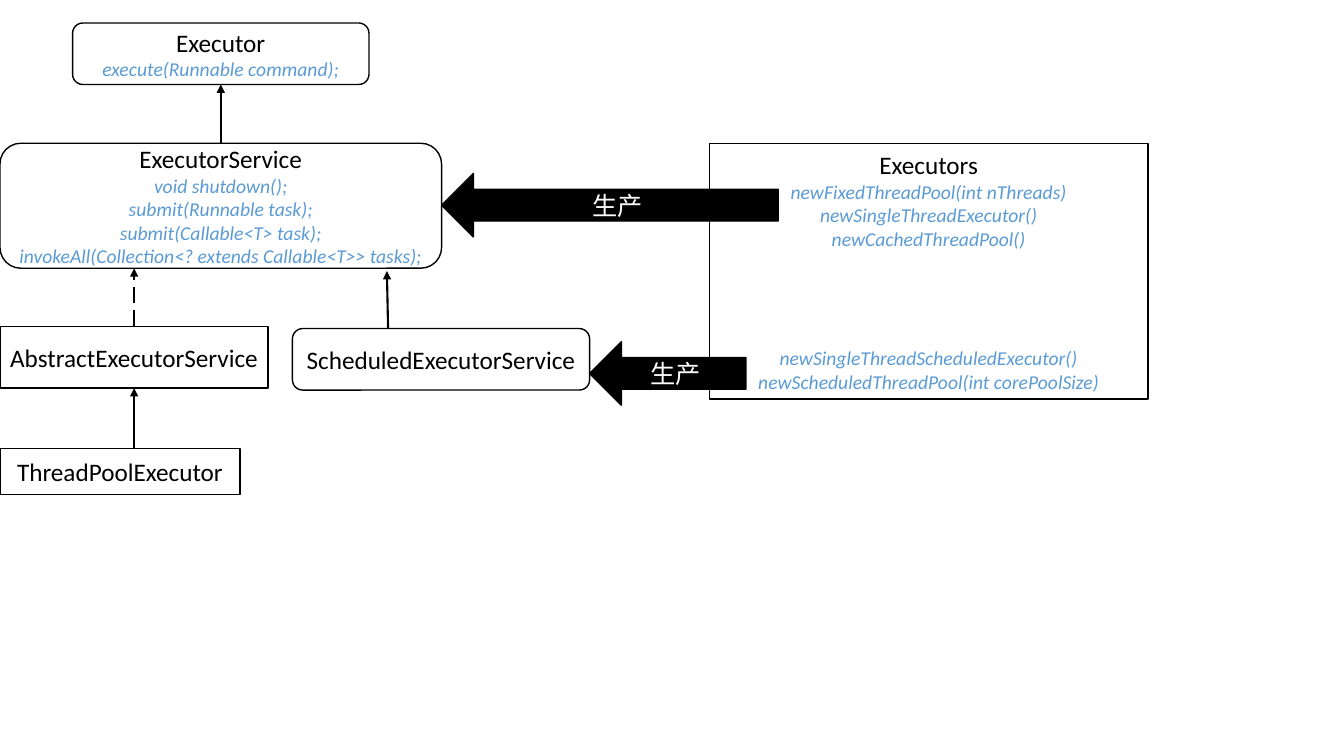
from dataclasses import dataclass

from lxml import etree
from pptx import Presentation
from pptx.dml.color import RGBColor
from pptx.enum.dml import MSO_LINE
from pptx.enum.shapes import MSO_CONNECTOR, MSO_SHAPE
from pptx.enum.text import MSO_ANCHOR, PP_ALIGN
from pptx.oxml.ns import qn
from pptx.util import Cm, Pt

INTERFACE = MSO_SHAPE.ROUNDED_RECTANGLE
CLASS = MSO_SHAPE.RECTANGLE
PRODUCES = MSO_SHAPE.LEFT_ARROW
STRAIGHT = MSO_CONNECTOR.STRAIGHT
LONG_DASH = MSO_LINE.LONG_DASH
MIDDLE = MSO_ANCHOR.MIDDLE
CENTER = PP_ALIGN.CENTER
TOP, BOTTOM = 0, 2


@dataclass(frozen=True)
class Theme:
    font: str = "Calibri"
    black: RGBColor = RGBColor(0, 0, 0)
    white: RGBColor = RGBColor(255, 255, 255)
    blue: RGBColor = RGBColor(0x5B, 0x9B, 0xD5)
    name_size: Pt = Pt(18)
    method_size: Pt = Pt(14)
    outline: Pt = Pt(1)
    arrow: Pt = Pt(1.5)
    group_gap: Pt = Pt(68.4)


theme = Theme()


def add_node(kind, place, name, methods=()):
    """Draw a type box or block arrow: its name, then its methods in italics."""
    node = slide.shapes.add_shape(kind, *map(Cm, place))
    node.shadow.inherit = False
    solid = kind == PRODUCES
    node.fill.solid()
    node.fill.fore_color.rgb = theme.black if solid else theme.white
    node.line.color.rgb = theme.black
    node.line.width = theme.outline
    frame = node.text_frame
    frame.word_wrap = True
    frame.vertical_anchor = MIDDLE
    frame.margin_left = frame.margin_right = Cm(0.1)
    name_style = {"size": theme.name_size, "italic": False}
    method_style = {"size": theme.method_size, "italic": True}
    name_color = theme.white if solid else theme.black
    for i, line in enumerate((name, *methods)):
        paragraph = frame.add_paragraph() if i else frame.paragraphs[0]
        paragraph.alignment = CENTER
        run = paragraph.add_run()
        run.text = line
        run.font.name = theme.font
        run.font.color.rgb = theme.blue if i else name_color
        for attribute, value in (method_style if i else name_style).items():
            setattr(run.font, attribute, value)
    return node


def add_inheritance(start, end, dash=None):
    arrow = slide.shapes.add_connector(STRAIGHT, *map(Cm, (*start, *end)))
    arrow.line.color.rgb = theme.black
    arrow.line.width = theme.arrow
    if dash:
        arrow.line.dash_style = dash
    head = etree.SubElement(arrow.line._get_or_add_ln(), qn("a:tailEnd"))
    head.set("type", "triangle")
    etree.SubElement(arrow._element.spPr, qn("a:effectLst"))
    return arrow


presentation = Presentation()
presentation.slide_width = Cm(33.87)
presentation.slide_height = Cm(19.05)
slide = presentation.slides.add_slide(presentation.slide_layouts[6])

executor = add_node(INTERFACE, (1.83, 0.58, 7.47, 1.55), "Executor",
                    ["execute(Runnable command);"])
executor_service = add_node(
    INTERFACE, (0, 3.61, 11.13, 3.15), "ExecutorService",
    ["void shutdown();", "submit(Runnable task);", "submit(Callable<T> task);",
     "invokeAll(Collection<? extends Callable<T>> tasks);"])
add_node(INTERFACE, (7.37, 8.28, 7.49, 1.55), "ScheduledExecutorService")
abstract_service = add_node(CLASS, (0, 8.23, 6.76, 1.55), "AbstractExecutorService")
executors = add_node(
    CLASS, (17.88, 3.61, 11.05, 6.45), "Executors",
    ["newFixedThreadPool(int nThreads)", "newSingleThreadExecutor()",
     "newCachedThreadPool()", "newSingleThreadScheduledExecutor()",
     "newScheduledThreadPool(int corePoolSize)"])
first_scheduled = executors.text_frame.paragraphs[4]
first_scheduled.space_before = theme.group_gap
add_node(CLASS, (0, 11.3, 6.05, 1.17), "ThreadPoolExecutor")

for place in ((11.13, 4.37, 8.48, 1.6), (14.86, 8.61, 3.94, 1.6)):
    add_node(PRODUCES, place, "生产")

abstract_implements = add_inheritance((3.38, 8.23), (3.38, 6.76), LONG_DASH)
abstract_implements.begin_connect(abstract_service, TOP)
service_extends = add_inheritance((5.56, 3.61), (5.56, 2.13))
service_extends.begin_connect(executor_service, TOP)
service_extends.end_connect(executor, BOTTOM)
add_inheritance((9.78, 8.28), (9.75, 6.83))
pool_extends = add_inheritance((3.38, 11.3), (3.38, 9.78))
pool_extends.end_connect(abstract_service, BOTTOM)

presentation.save("out.pptx")
